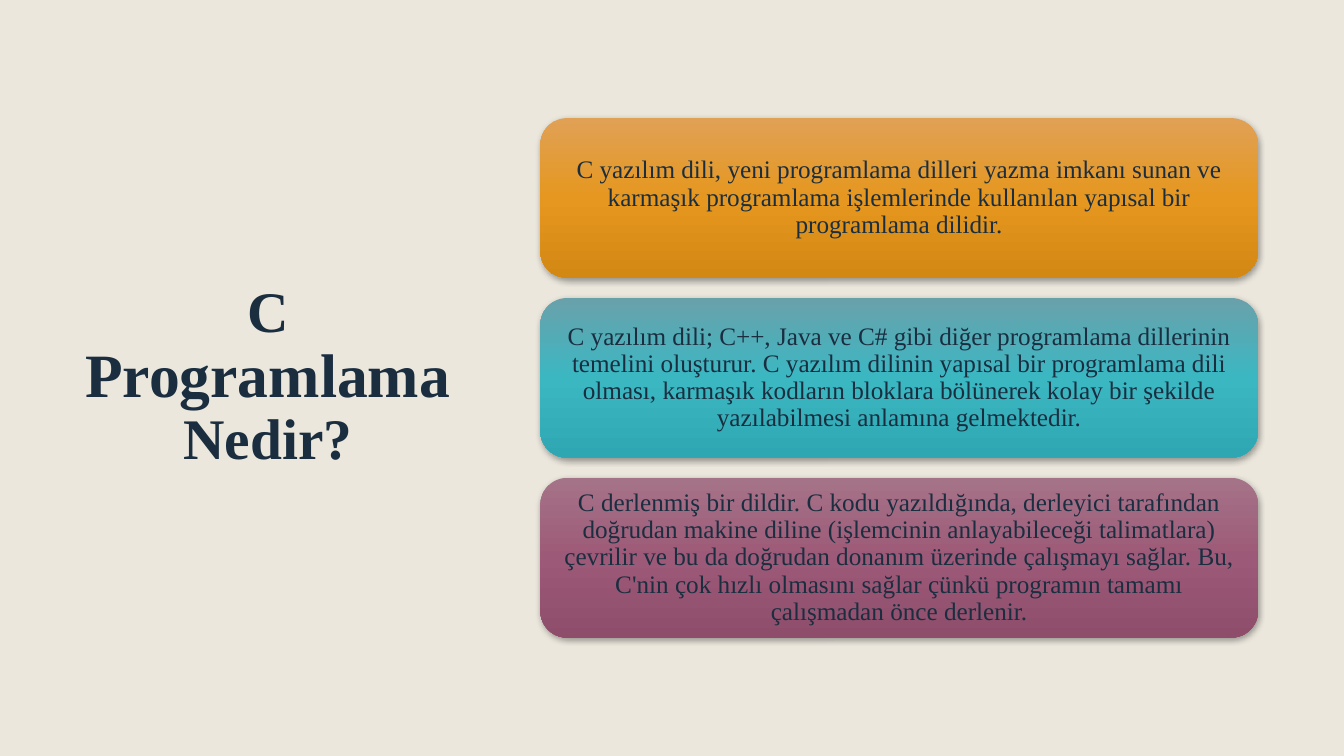
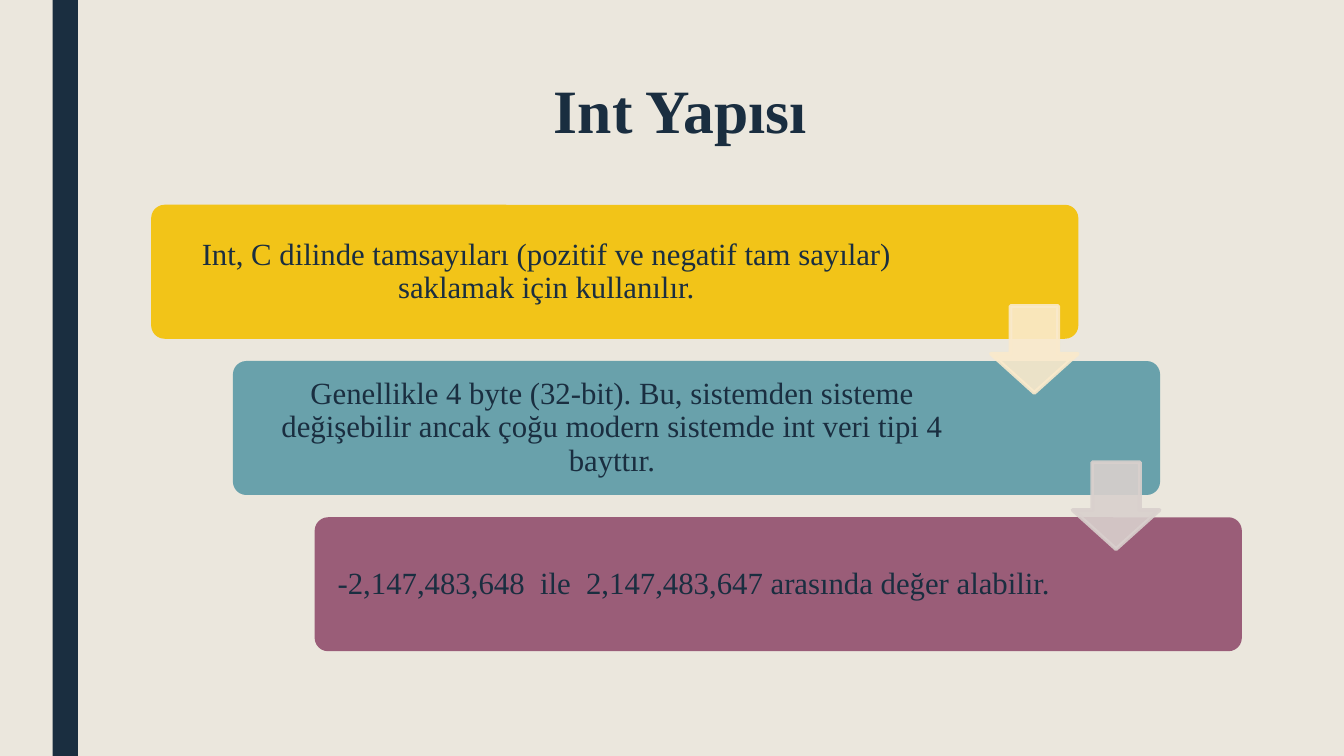
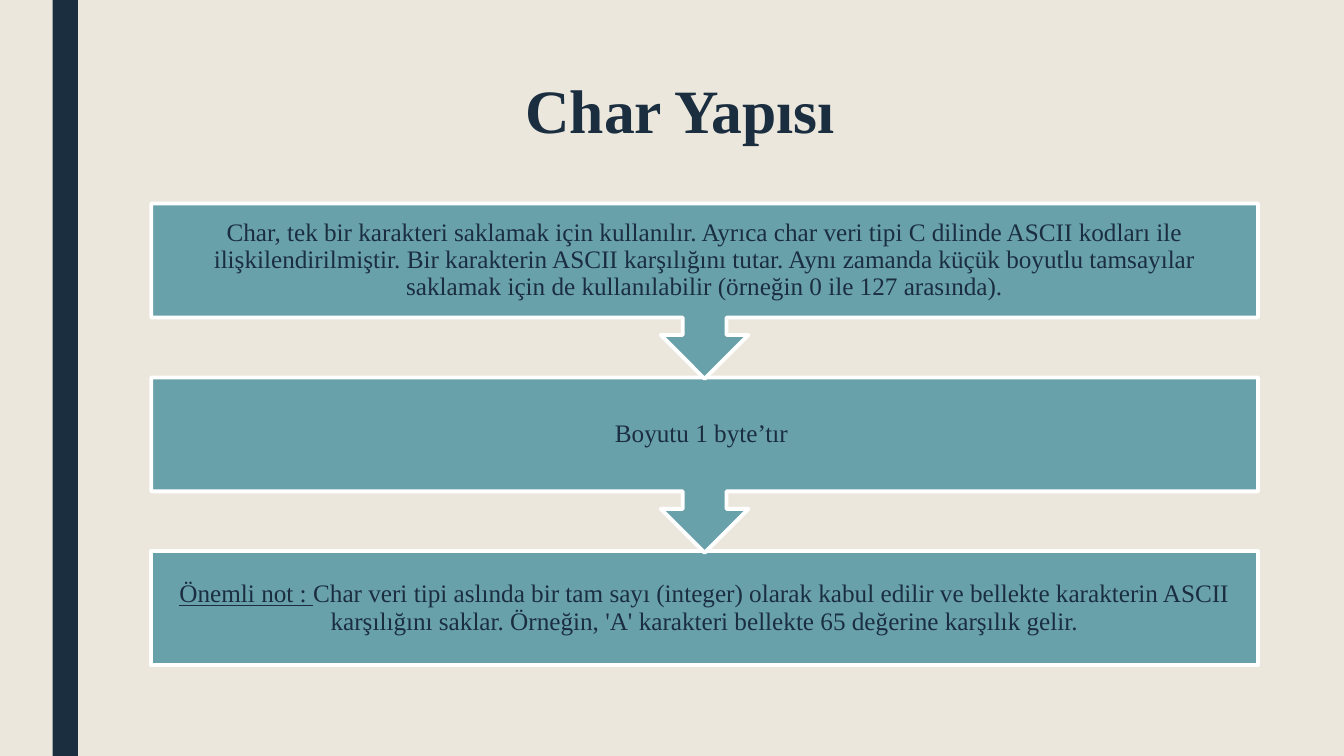
from copy import deepcopy

from lxml import etree
from pptx import Presentation
from pptx.dml import color
from pptx.enum import shapes, text
from pptx.oxml import ns
from pptx.util import Pt

FONT = "Times New Roman"
INK, PAPER, TEAL, WHITE = "1A2E40", "EBE7DD", "69A1AB", "FFFFFF"
KIND = shapes.MSO_SHAPE
ANCHOR = text.MSO_ANCHOR

INTRO_TITLE = [("C ", {"size": 41}), ("Programlama", {}), (" Nedir?", {"size": 41})]
INTRO_CARDS = [
    ("C yazılım dili, yeni programlama dilleri yazma imkanı sunan ve karmaşık "
     "programlama işlemlerinde kullanılan yapısal bir programlama dilidir.",
     ("E1A155", "E5971F", "D38814")),
    ("C yazılım dili; C++, Java ve C# gibi diğer programlama dillerinin temelini "
     "oluşturur. C yazılım dilinin yapısal bir programlama dili olması, karmaşık "
     "kodların bloklara bölünerek kolay bir şekilde yazılabilmesi anlamına gelmektedir.",
     (TEAL, "3BB7C2", "2FA7B2")),
    ("C derlenmiş bir dildir. C kodu yazıldığında, derleyici tarafından doğrudan "
     "makine diline (işlemcinin anlayabileceği talimatlara) çevrilir ve bu da doğrudan "
     "donanım üzerinde çalışmayı sağlar. Bu, C'nin çok hızlı olmasını sağlar çünkü "
     "programın tamamı çalışmadan önce derlenir.",
     ("A57388", "9D5A78", "8E4D6A")),
]
INT_STEPS = [
    ("Int, C dilinde tamsayıları (pozitif ve negatif tam sayılar) saklamak için "
     "kullanılır.", "F2C418", 104.4),
    ("Genellikle 4 byte (32-bit). Bu, sistemden sisteme değişebilir ancak çoğu modern "
     "sistemde int veri tipi 4 bayttır.", TEAL, 127.4),
    ("-2,147,483,648  ile  2,147,483,647 arasında değer alabilir.", "9A5D78", 127.4),
]
INT_ARROWS = ["FAEACC", "D9D0CD"]
CHAR_STEPS = [
    [("Char, tek bir karakteri saklamak için kullanılır. Ayrıca char veri tipi C dilinde "
      "ASCII kodları ile ilişkilendirilmiştir. Bir karakterin ASCII karşılığını tutar. "
      "Aynı zamanda küçük boyutlu tamsayılar saklamak için de kullanılabilir (örneğin 0 "
      "ile 127 arasında).", {})],
    [("Boyutu 1 byte’tır ", {})],
    [("Önemli not : ", {"underline": True}),
     ("Char veri tipi aslında bir tam sayı (integer) olarak kabul edilir ve bellekte "
      "karakterin ASCII karşılığını saklar. Örneğin, 'A' karakteri bellekte 65 değerine "
      "karşılık gelir.", {})],
]


def rgb(value):
    return color.RGBColor.from_string(value)


def add_child(parent, tag, **attributes):
    return etree.SubElement(parent, ns.qn(tag), attributes)


def write(box, content, size=18, bold=False, spacing=0.9, anchor=ANCHOR.MIDDLE,
          insets=(7.2, 3.6, 7.2, 3.6)):
    frame = box.text_frame
    frame.word_wrap = True
    frame.vertical_anchor = anchor
    (frame.margin_left, frame.margin_top,
     frame.margin_right, frame.margin_bottom) = map(Pt, insets)
    para = frame.paragraphs[0]
    para.alignment = text.PP_ALIGN.CENTER
    para.line_spacing = spacing
    for words, style in [(content, {})] if isinstance(content, str) else content:
        span = para.add_run()
        span.text = words
        span.font.name = FONT
        span.font.size = Pt(style.get("size", size))
        span.font.bold = bold
        span.font.underline = style.get("underline", False)
        span.font.color.rgb = rgb(INK)


def add_shape(page, kind, area, fill, line=None, adjust=()):
    shape = page.shapes.add_shape(kind, *map(Pt, area))
    shape.shadow.inherit = False
    shape.fill.solid()
    shape.fill.fore_color.rgb = rgb(fill)
    if line:
        shape.line.color.rgb = rgb(line)
        shape.line.width = Pt(2.75)
        add_child(shape.line._get_or_add_ln(), "a:round")
    else:
        shape.line.fill.background()
    for index, value in enumerate(adjust):
        shape.adjustments[index] = value
    return shape


def add_gradient(shape, colours):
    shape.fill.gradient()
    shape.fill.gradient_angle = 270
    stop_list = shape._element.spPr.find(".//" + ns.qn("a:gsLst"))
    stop_list.append(deepcopy(stop_list[0]))
    for index, (stop, colour) in enumerate(zip(shape.fill.gradient_stops, colours)):
        stop.position = index / 2
        stop.color.rgb = rgb(colour)


def add_shadow(shape):
    effects = shape._element.spPr.find(ns.qn("a:effectLst"))
    shadow = add_child(effects, "a:outerShdw", blurRad=str(Pt(4.5)), dist=str(Pt(1.5)),
                       dir="5400000", rotWithShape="0")
    black = add_child(shadow, "a:srgbClr", val="000000")
    add_child(black, "a:alpha", val="35000")


def make_translucent(shape):
    for colour in shape._element.spPr.iter(ns.qn("a:srgbClr")):
        add_child(colour, "a:alpha", val="90000")


def add_page(deck, title, area=(108, 54, 756, 82), anchor=ANCHOR.TOP, band=True):
    page = deck.slides.add_slide(deck.slide_layouts[6])
    page.background.fill.solid()
    page.background.fill.fore_color.rgb = rgb(PAPER)
    if band:
        add_shape(page, KIND.RECTANGLE, (37.6, 0, 18, 540), INK)
    box = page.shapes.add_textbox(*map(Pt, area))
    write(box, title, size=44, bold=True, spacing=0.89, anchor=anchor)
    return page


def build_intro(deck):
    page = add_page(deck, INTRO_TITLE, (50.4, 50.4, 282, 439), ANCHOR.MIDDLE, band=False)
    for index, (words, colours) in enumerate(INTRO_CARDS):
        area = (386, 84.4 + 128.5 * index, 512.6, 114)
        card = add_shape(page, KIND.ROUNDED_RECTANGLE, area, colours[0])
        add_gradient(card, colours)
        add_shadow(card)
        write(card, words, insets=(5.3,) * 4)


def build_int(deck):
    page = add_page(deck, "Int Yapısı")
    step_x, step_y = 58.4, 111.6
    for index, (words, fill, right) in enumerate(INT_STEPS):
        area = (108 + step_x * index, 146.3 + step_y * index, 662.3, 95.7)
        step = add_shape(page, KIND.ROUNDED_RECTANGLE, area, fill, adjust=[0.1])
        write(step, words, size=22, insets=(6.5, 6.5, right, 6.5))
    for index, fill in enumerate(INT_ARROWS):
        area = (707.8 + step_x * index, 218.6 + step_y * index, 62, 62)
        arrow = add_shape(page, KIND.DOWN_ARROW, area, fill, fill, [0.55, 0.45])
        make_translucent(arrow)


def build_char(deck):
    page = add_page(deck, "Char Yapısı")
    last = len(CHAR_STEPS) - 1
    for index in range(last, -1, -1):
        kind, height = ((KIND.RECTANGLE, 81.4) if index == last
                        else (KIND.DOWN_ARROW_CALLOUT, 125.2))
        area = (108, 145.4 + 124.2 * index, 790.6, height)
        step = add_shape(page, kind, area, TEAL, WHITE)
        write(step, CHAR_STEPS[index], insets=(10,) * 4)


def main():
    deck = Presentation()
    deck.slide_width, deck.slide_height = Pt(960), Pt(540)
    for build in (build_intro, build_int, build_char):
        build(deck)
    deck.save("out.pptx")


if __name__ == "__main__":
    main()
